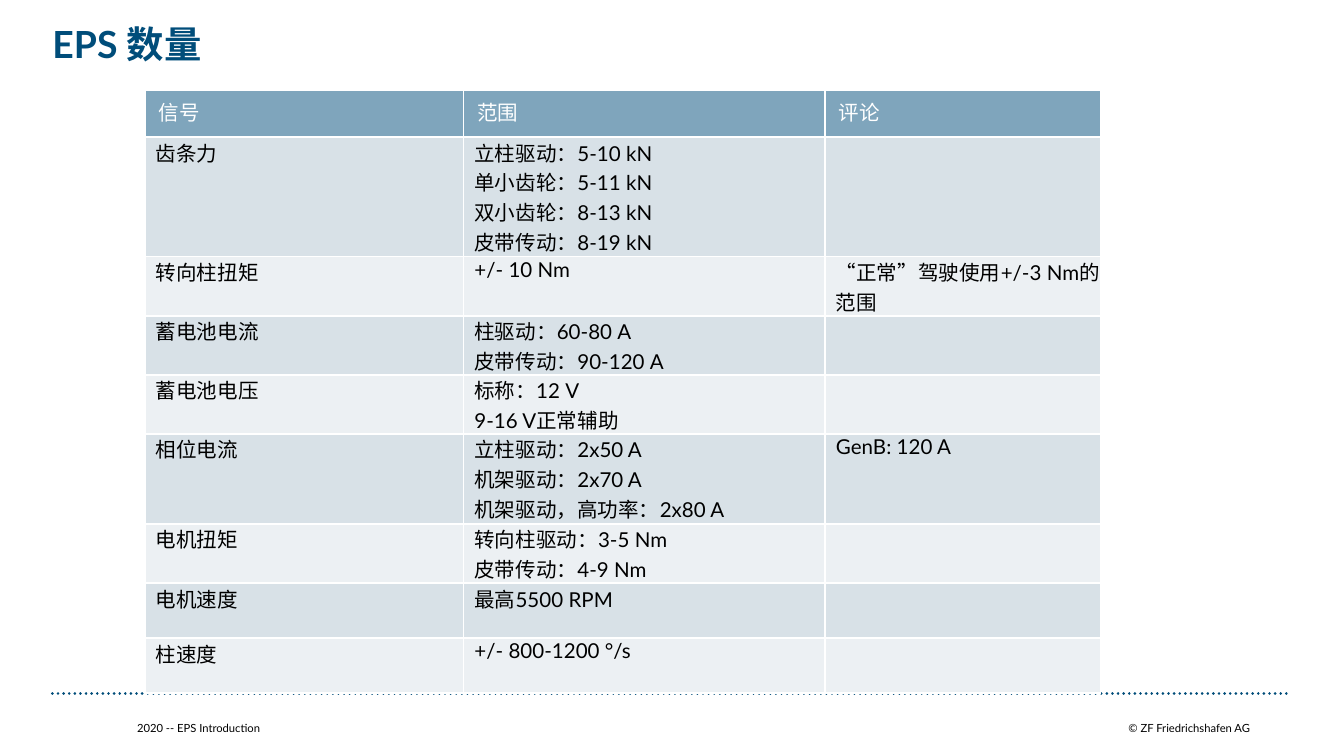
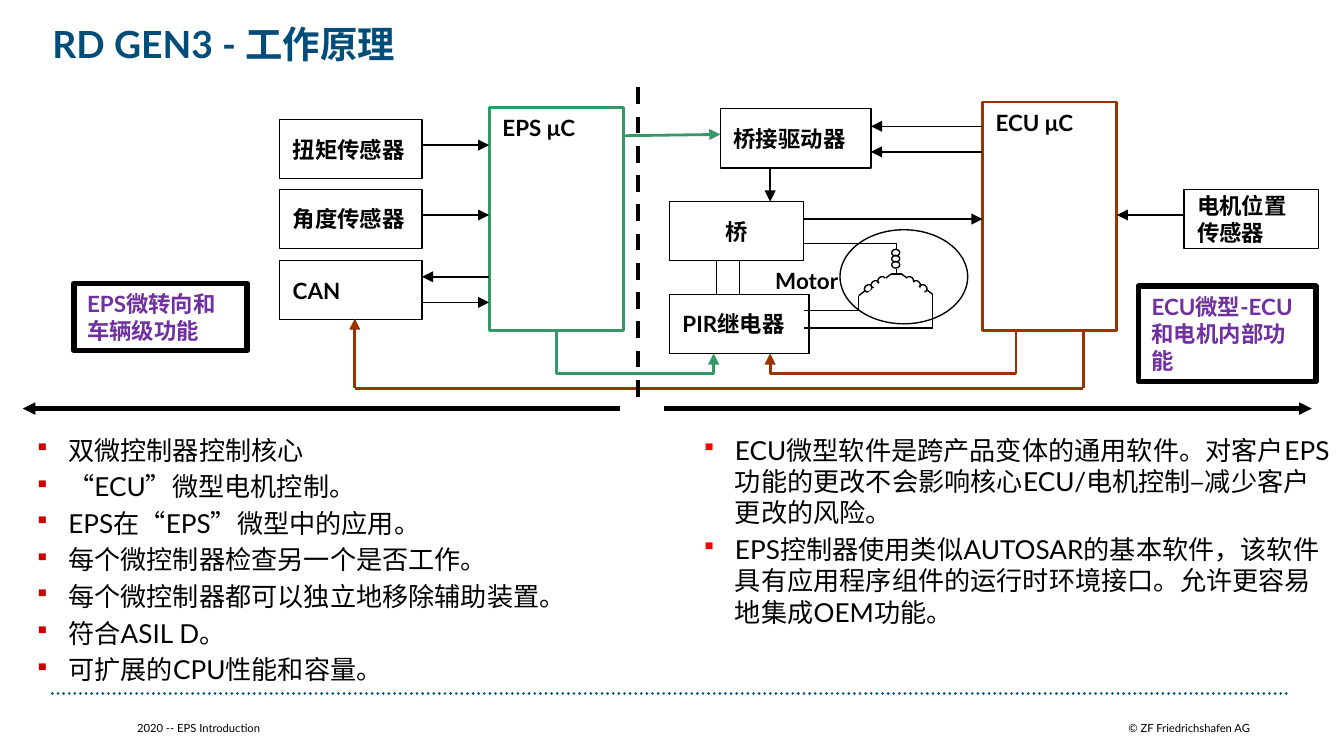
from lxml import etree
from pptx import Presentation, oxml
from pptx.dml.color import RGBColor
from pptx.enum import dml, shapes, text
from pptx.util import Inches, Pt

NAVY = RGBColor(0x00, 0x4D, 0x7A)
BLACK = RGBColor(0x00, 0x00, 0x00)
WHITE = RGBColor(0xFF, 0xFF, 0xFF)
STEEL = RGBColor(0x7F, 0xA5, 0xBC)
MIST = RGBColor(0xD8, 0xE1, 0xE7)
PALE = RGBColor(0xEC, 0xF0, 0xF3)
GREEN = RGBColor(0x33, 0x99, 0x66)
BROWN = RGBColor(0x99, 0x33, 0x00)
PURPLE = RGBColor(0x70, 0x30, 0xA0)
CRIMSON = RGBColor(0xCC, 0x00, 0x00)
RED = RGBColor(0xFF, 0x00, 0x00)
FONT = "Lato"
TOP = text.MSO_ANCHOR.TOP
MIDDLE = text.MSO_ANCHOR.MIDDLE
LEFT = text.PP_ALIGN.LEFT
CENTER = text.PP_ALIGN.CENTER
RIGHT = text.PP_ALIGN.RIGHT
RECT = shapes.MSO_SHAPE.RECTANGLE
OVAL = shapes.MSO_SHAPE.OVAL
DOTS = dml.MSO_LINE.ROUND_DOT


def write(frame, lines, size, ink=BLACK, bold=False, align=LEFT):
    frame.word_wrap = True
    for i, words in enumerate(lines):
        par = frame.add_paragraph() if i else frame.paragraphs[0]
        par.alignment = align
        run = par.add_run()
        run.text = words
        run.font.name = FONT
        run.font.size = Pt(size)
        run.font.bold = bold
        run.font.color.rgb = ink


def route(slide, points, ink=BLACK, width=0.75, arrow=False, dash=None):
    for start, end in zip(points, points[1:]):
        line = slide.shapes.add_connector(
            shapes.MSO_CONNECTOR.STRAIGHT, *map(Inches, start + end))
        line.line.color.rgb = ink
        line.line.width = Pt(width)
        props = line._element.spPr
        stroke = props.find(oxml.ns.qn("a:ln"))
        if dash:
            line.line.dash_style = dash
        if dash == DOTS:
            stroke.set("cap", "rnd")
        if arrow and end == points[-1]:
            etree.SubElement(stroke, oxml.ns.qn("a:tailEnd")).set("type", "triangle")
        etree.SubElement(props, oxml.ns.qn("a:effectLst"))


deck = Presentation()
deck.slide_width = Inches(10)
deck.slide_height = Inches(10) * 9 // 16

labels = [
    (0.39, 0.16, 9.21, 0.65, 20, NAVY, LEFT),
    (1.02, 5.35, 5.71, 0.12, 6, BLACK, LEFT),
    (8.32, 5.36, 0.98, 0.1, 6, BLACK, RIGHT),
]
for title in ["EPS 数量", "RD GEN3 - 工作原理"]:
    slide = deck.slides.add_slide(deck.slide_layouts[6])
    route(slide, [(0.39, 5.16), (9.61, 5.16)], NAVY, 1.5, dash=DOTS)
    words = [title, "2020 -- EPS Introduction", "© ZF Friedrichshafen AG"]
    for label, (x, y, w, h, size, ink, align) in zip(words, labels):
        frame = slide.shapes.add_textbox(*map(Inches, (x, y, w, h))).text_frame
        frame.margin_left = frame.margin_right = frame.margin_top = frame.margin_bottom = 0
        write(frame, [label], size, ink, label == title, align)
        if label != title:
            frame.vertical_anchor = MIDDLE
            frame.paragraphs[0].line_spacing = Pt(8)

first, second = deck.slides

rows = [
    (0.35, "信号", ["范围"], "评论"),
    (0.89, "齿条力", ["立柱驱动：5-10 kN", "单小齿轮：5-11 kN", "双小齿轮：8-13 kN",
                   "皮带传动：8-19 kN"], ""),
    (0.44, "转向柱扭矩", ["+/- 10 Nm"], "“正常”驾驶使用+/-3 Nm的范围"),
    (0.44, "蓄电池电流", ["柱驱动：60-80 A", "皮带传动：90-120 A"], ""),
    (0.44, "蓄电池电压", ["标称：12 V", "9-16 V正常辅助"], ""),
    (0.67, "相位电流", ["立柱驱动：2x50 A", "机架驱动：2x70 A", "机架驱动，高功率：2x80 A"],
     "GenB: 120 A"),
    (0.44, "电机扭矩", ["转向柱驱动：3-5 Nm", "皮带传动：4-9 Nm"], ""),
    (0.41, "电机速度", ["最高5500 RPM"], ""),
    (0.41, "柱速度", ["+/- 800-1200 °/s"], ""),
]
table = first.shapes.add_table(
    len(rows), 3, Inches(1.08), Inches(0.67), Inches(7.11), Inches(4.49)).table
for col, width in zip(table.columns, [2.37, 2.69, 2.05]):
    col.width = Inches(width)
for r, (height, signal, span, note) in enumerate(rows):
    table.rows[r].height = Inches(height)
    for c, lines in enumerate([[signal], span, [note]]):
        cell = table.cell(r, c)
        cell.fill.solid()
        cell.fill.fore_color.rgb = (MIST if r % 2 else PALE) if r else STEEL
        if r and lines[0]:
            cell.margin_left = Inches(0.08)
            cell.margin_right = cell.margin_top = cell.margin_bottom = 0
        if lines[0]:
            write(cell.text_frame, lines, 11, BLACK if r else WHITE)

boxes = [
    (3.64, 0.8, 1, 1.66, "EPS μC", GREEN, 1.5, BLACK),
    (7.31, 0.76, 1, 1.7, "ECU μC", BROWN, 1.5, BLACK),
    (4.98, 2.19, 1.04, 0.44, "PIR继电器", BLACK, 0.75, BLACK),
    (4.98, 1.5, 1, 0.44, "桥", BLACK, 0.75, BLACK),
    (5.36, 0.81, 1.12, 0.44, "桥接驱动器", BLACK, 0.75, BLACK),
    (8.81, 1.41, 1, 0.44, "电机位置传感器", BLACK, 0.75, BLACK),
    (2.08, 0.89, 1.06, 0.44, "扭矩传感器", BLACK, 0.75, BLACK),
    (2.08, 1.41, 1.06, 0.44, "角度传感器", BLACK, 0.75, BLACK),
    (2.08, 1.94, 1.06, 0.44, "CAN", BLACK, 0.75, BLACK),
    (0.55, 2.11, 1.29, 0.5, "EPS微转向和车辆级功能", BLACK, 3, PURPLE),
    (8.47, 2.13, 1.32, 0.71, "ECU微型-ECU和电机内部功能", BLACK, 3, PURPLE),
]
for x, y, w, h, words, edge, width, ink in boxes:
    box = second.shapes.add_shape(RECT, *map(Inches, (x, y, w, h)))
    box.shadow.inherit = False
    box.fill.background()
    box.line.color.rgb = edge
    box.line.width = Pt(width)
    box.text_frame.vertical_anchor = MIDDLE if h == 0.44 else TOP
    write(box.text_frame, [words], 12, ink, True, CENTER if words == "桥" else LEFT)

arrows = [
    (3.14, 1.08, 3.64, 1.08), (3.14, 1.6, 3.64, 1.6),
    (3.64, 2.06, 3.14, 2.06), (3.14, 2.25, 3.64, 2.25),
    (7.31, 0.94, 6.48, 0.94), (7.31, 1.13, 6.48, 1.13),
    (5.73, 1.25, 5.73, 1.5), (5.98, 1.63, 7.31, 1.63),
    (8.81, 1.6, 8.31, 1.6),
]
for x, y, right, low in arrows:
    route(second, [(x, y), (right, low)], arrow=True)

paths = [
    (GREEN, [(4.64, 1.01), (5.36, 1)]),
    (GREEN, [(4.14, 2.46), (4.14, 2.78), (5.31, 2.78), (5.31, 2.63)]),
    (BROWN, [(7.56, 2.46), (7.56, 2.78), (5.73, 2.78), (5.73, 2.63)]),
    (BROWN, [(8.06, 2.46), (8.06, 2.89), (2.64, 2.89), (2.64, 2.37)]),
]
for ink, points in paths:
    route(second, points, ink, 1.5, True)

coils = [(OVAL, 6.64, 1.94 - 0.045 * i, 0.05, 0.06, 270) for i in range(3)]
for x, step, turn in [(6.84, -0.05, 219.6), (6.43, 0.05, 319.3)]:
    coils += [(OVAL, x + step * i, 2.12 - 0.03 * i, 0.06, 0.05, turn) for i in range(3)]
coils += [
    (RECT, 6.74, 2.04, 0.08, 0.2, 309.6),
    (RECT, 6.51, 2.05, 0.07, 0.2, 49.3),
    (OVAL, 6.25, 1.71, 0.95, 0.7, 0),
]
for kind, x, y, w, h, turn in coils:
    coil = second.shapes.add_shape(kind, *map(Inches, (x, y, w, h)))
    coil.shadow.inherit = False
    coil.rotation = turn
    if kind == RECT:
        coil.fill.solid()
        coil.fill.fore_color.rgb = WHITE
        coil.line.fill.background()
    else:
        coil.fill.background()
        coil.line.color.rgb = BLACK
        coil.line.width = Pt(0.75)

wires = [
    [(6.71, 2.04), (6.63, 2.04)],
    [(6.67, 2.04), (6.67, 2)],
    [(6.67, 1.86), (6.67, 1.81), (5.98, 1.81)],
    [(6.75, 2.07), (6.71, 2.04)],
    [(6.59, 2.07), (6.63, 2.04)],
    [(6.44, 2.16), (6.39, 2.2), (6.39, 2.31), (5.98, 2.31)],
    [(6.9, 2.16), (6.94, 2.19), (6.94, 2.44), (5.98, 2.44)],
    [(5.33, 2.19), (5.33, 1.94)],
    [(5.5, 2.19), (5.5, 1.94)],
]
for points in wires:
    route(second, points)

motor = second.shapes.add_textbox(*map(Inches, (5.67, 1.94, 0.67, 0.3))).text_frame
write(motor, ["Motor"], 12, bold=True)
motor.word_wrap = False
motor.auto_size = text.MSO_AUTO_SIZE.SHAPE_TO_FIT_TEXT

route(second, [(4.75, 0.65), (4.75, 3)], width=2.25, dash=dml.MSO_LINE.DASH)
route(second, [(4.61, 3.04), (0.17, 3.04)], width=2.25, arrow=True)
route(second, [(4.94, 3.04), (9.76, 3.04)], width=2.25, arrow=True)

notes = [
    (0.16, 4.93, 2.12, CRIMSON, [
        "双微控制器控制核心",
        "“ECU”微型电机控制。",
        "EPS在“EPS”微型中的应用。",
        "每个微控制器检查另一个是否工作。",
        "每个微控制器都可以独立地移除辅助装置。",
        "符合ASIL D。",
        "可扩展的CPU性能和容量。",
    ]),
    (5.12, 4.88, 2.02, RED, [
        "ECU微型软件是跨产品变体的通用软件。对客户EPS功能的更改不会影响核心ECU/电机控制–减少客户更改的风险。",
        "EPS控制器使用类似AUTOSAR的基本软件，该软件具有应用程序组件的运行时环境接口。允许更容易地集成OEM功能。",
    ]),
]
for x, w, h, ink, lines in notes:
    frame = second.shapes.add_textbox(*map(Inches, (x, 3.18, w, h))).text_frame
    write(frame, lines, 14)
    for i, par in enumerate(frame.paragraphs):
        par.space_before = Pt(2.8 if i else 0)
        props = par._p.get_or_add_pPr()
        props.set("marL", str(Inches(0.25)))
        props.set("indent", str(Inches(-0.25)))
        tint = etree.SubElement(props, oxml.ns.qn("a:buClr"))
        etree.SubElement(tint, oxml.ns.qn("a:srgbClr")).set("val", str(ink))
        etree.SubElement(props, oxml.ns.qn("a:buSzPct")).set("val", "80000")
        etree.SubElement(props, oxml.ns.qn("a:buChar")).set("char", "▪")

deck.save("out.pptx")
